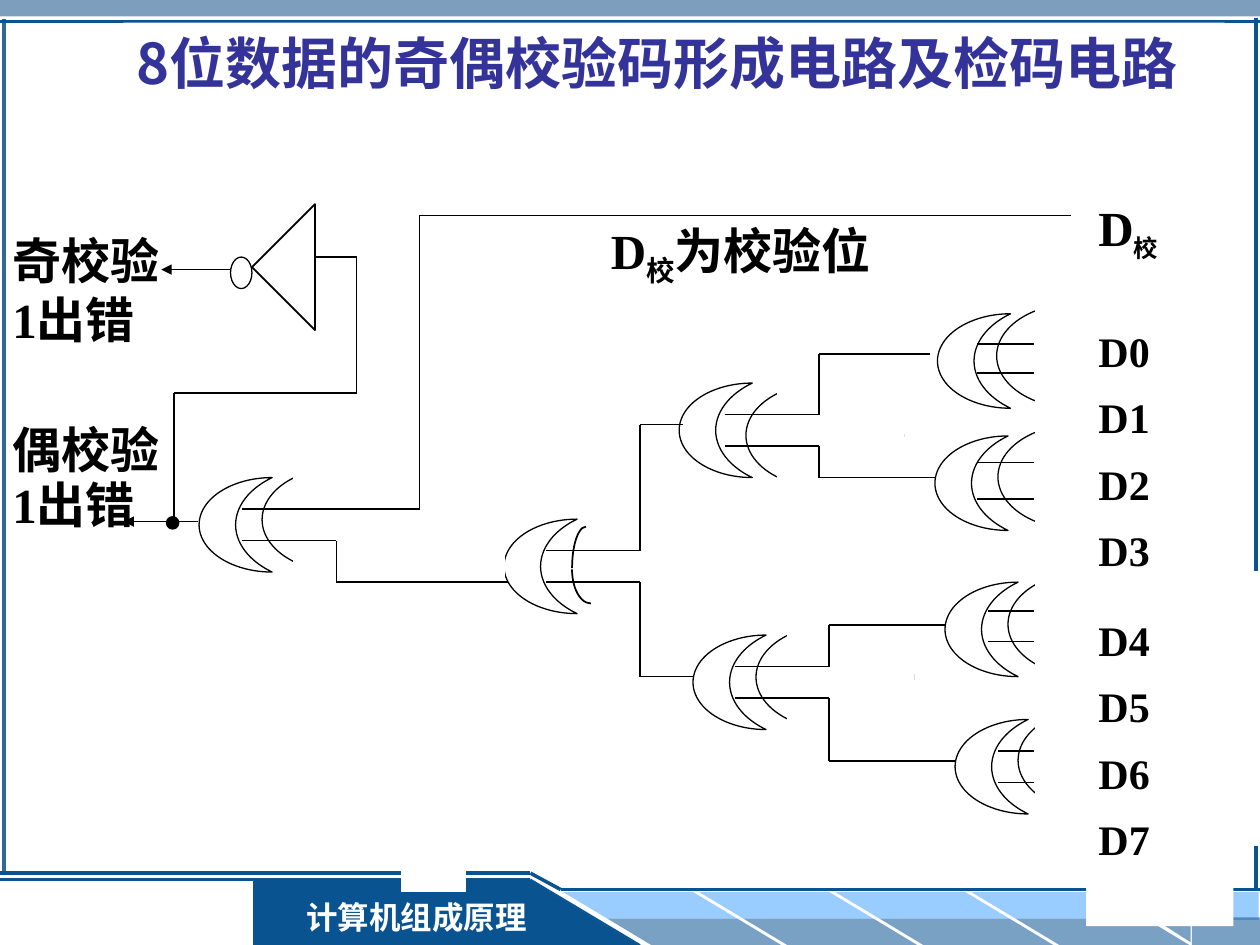
"""Build the slide on parity code forming and checking circuits for 8-bit data."""
from itertools import pairwise
from lxml import etree
from pptx import Presentation
from pptx.dml.color import RGBColor as RGB
from pptx.enum.shapes import MSO_CONNECTOR as LINK, MSO_SHAPE as KIND
from pptx.enum.text import MSO_ANCHOR as ANCHOR, MSO_AUTO_SIZE as FIT, PP_ALIGN as ALIGN
from pptx.oxml.ns import qn
from pptx.util import Cm, Pt

BLACK = RGB(0, 0, 0)
WHITE = RGB(255, 255, 255)
NAVY = RGB(0x09, 0x53, 0x91)
STEEL = RGB(0x33, 0x66, 0x99)
SKY = RGB(0x99, 0xCC, 0xFF)
INDIGO = RGB(0x33, 0x33, 0x99)
INCH = 2.54
SERIF = "Times New Roman"

deck = Presentation()
deck.slide_width, deck.slide_height = Cm(25.4), Cm(19.05)
page = deck.slides.add_slide(deck.slide_layouts[5])
shapes = page.shapes


def draw(kind, box, fill=None, line=None, width=0.75, alpha=None, flip=()):
    shape = shapes.add_shape(kind, *[Cm(INCH * v) for v in box])
    shape.shadow.inherit = False
    if fill is None:
        shape.fill.background()
    else:
        shape.fill.solid()
        shape.fill.fore_color.rgb = fill
    if line is None:
        shape.line.fill.background()
    else:
        shape.line.color.rgb = line
        shape.line.width = Pt(width)
    if alpha:
        tint = shape.element.spPr.find(qn("a:solidFill"))[0]
        etree.SubElement(tint, qn("a:alpha")).set("val", str(alpha * 1000))
    for side in flip:
        shape.element.spPr.xfrm.set("flip" + side, "1")
    return shape


def wire(spots, color=BLACK, width=0.75, arrow=False):
    for start, end in pairwise(spots):
        link = shapes.add_connector(LINK.STRAIGHT, *[Cm(INCH * v) for v in start + end])
        link.line.color.rgb = color
        link.line.width = Pt(width)
        if arrow:
            etree.SubElement(link.line._get_or_add_ln(), qn("a:tailEnd")).set("type", "triangle")
        etree.SubElement(link.element.spPr, qn("a:effectLst"))


# Frame and footer
draw(KIND.RECTANGLE, (0, 0, 10, 0.13), STEEL, alpha=63)
wire([(0.03, 0.15), (0.03, 6.93)], STEEL, 2)
draw(KIND.RECTANGLE, (2.01, 6.98, 2.2, 0.52), NAVY)
wire([(5.08, 7.5), (4.21, 6.98)], NAVY, 1)
wire([(4.21, 6.98), (0, 6.98)], NAVY, 1.5)
for step in range(4):
    left = 4.47 + 1.08 * step
    for shift, top, color, alpha in [(0, 7.08, SKY, None), (0.35, 7.29, NAVY, 54)]:
        tile = draw(KIND.PARALLELOGRAM, (left + shift, top, 1.38, 0.21), color, alpha=alpha, flip="H")
        tile.adjustments[0] = 1.66
draw(KIND.RECTANGLE, (9.13, 7.08, 0.86, 0.22), SKY)
draw(KIND.RECTANGLE, (9.46, 7.28, 0.54, 0.22), NAVY, alpha=54)
draw(KIND.RIGHT_TRIANGLE, (9.14, 7.28, 0.31, 0.2), NAVY, alpha=54, flip="HV")
draw(KIND.RIGHT_TRIANGLE, (4.2, 6.98, 0.87, 0.52), NAVY)
wire([(0, 6.93), (4.21, 6.93), (4.45, 7.06), (10, 7.06)], NAVY, 2)
wire([(0, 0.17), (10, 0.17)], NAVY, 2)
wire([(9.97, 0.14), (9.97, 7.07)], NAVY, 2)
draw(KIND.RECTANGLE, (8.33, 4.54, 1.67, 2.17), WHITE, WHITE)

# XOR gates: body corner, then corner of the oval behind it
gates = [
    ((7.5, 4.62), (8, 4.54)), ((7.58, 5.71), (8.08, 5.62)),
    ((7.42, 3.46), (7.92, 3.37)), ((7.44, 2.49), (7.91, 2.41)),
    ((5.5, 5.04), (6, 4.96)), ((5.39, 3.04), (5.92, 3.04)),
    ((1.58, 3.79), (2.08, 3.71)), ((4, 4.12), None),
]
for body, oval in gates:
    draw(KIND.MOON, (*body, 0.58, 0.75), WHITE, BLACK)
    if oval:
        draw(KIND.OVAL, (*oval, 1.25, 0.83), WHITE, BLACK)
for box in [(6.25, 4.46, 1, 2.17), (6.17, 2.54, 1, 2.17), (3.19, 5.48, 0.5, 1.67),
            (2.33, 3.21, 1.67, 2.17), (8.22, 2.25, 1, 4.58)]:
    draw(KIND.RECTANGLE, box, WHITE, WHITE)
for box, start, end in [((4.54, 4.18, 0.22, 0.66), 108, 162), ((4.54, 4.25, 0.3, 0.54), 54, 108)]:
    arc = draw(KIND.ARC, box, None, BLACK, 1)
    arc.adjustments[0], arc.adjustments[1] = start, end

# Wiring
for left, rows in [(7.75, (2.73, 2.96, 3.67, 3.96)), (7.84, (4.85, 5.09)), (7.92, (5.96, 6.21))]:
    for row in rows:
        wire([(left, row), (8.21, row)])
for spots in [
    [(7.38, 2.81), (6.5, 2.81), (6.5, 3.29), (5.75, 3.29)],
    [(7.42, 3.79), (6.5, 3.79), (6.5, 3.54), (5.75, 3.54)],
    [(7.5, 4.96), (6.58, 4.96), (6.58, 5.29), (5.83, 5.29)],
    [(7.58, 6.04), (6.58, 6.04), (6.58, 5.54), (5.83, 5.54)],
    [(5.42, 3.37), (5.08, 3.37), (5.08, 4.37), (4.33, 4.37)],
    [(5.5, 5.37), (5.08, 5.37), (5.08, 4.62), (4.33, 4.62)],
    [(4.03, 4.62), (2.67, 4.62), (2.67, 4.29), (1.92, 4.29)],
    [(3.33, 1.71), (3.33, 4.04), (1.92, 4.04)],
    [(1.38, 4.12), (1.38, 3.12), (2.83, 3.12), (2.83, 2.04), (2.5, 2.04)],
]:
    wire(spots)
wire([(3.33, 1.71), (8.5, 1.71)], width=1)
wire([(1.57, 4.14), (0.98, 4.14)], arrow=True)
wire([(1.86, 2.14), (1.28, 2.14)], arrow=True)
draw(KIND.OVAL, (1.83, 2.04, 0.17, 0.25), WHITE, BLACK)
draw(KIND.ISOSCELES_TRIANGLE, (1.75, 1.87, 1, 0.5), None, BLACK, 1).rotation = 270
draw(KIND.OVAL, (1.33, 4.11, 0.08, 0.08), BLACK, BLACK, 2)

# Text: box, fill, top inset, colour, font, alignment, paragraphs
# Each paragraph: space before, line spacing, runs of (text, size, subscript)
bits = [(44.5 if n == 0 else 28 if n == 4 else 15, 0.8, [(f"D{n}", 24, False)]) for n in range(8)]
texts = [
    ((2.28, 7.08, 2.05, 0.4), NAVY, 0.05, WHITE, SERIF, ALIGN.CENTER,
     [(0, 1, [("计算机组成原理", 18, False)])]),
    ((0, 1.78, 2.17, 1.04), None, 0.05, BLACK, SERIF, ALIGN.LEFT,
     [(0, 1, [("奇校验", 28, False)]), (0, 1, [("1出错", 28, False)])]),
    ((0, 3.28, 1.58, 0.95), None, 0.05, BLACK, SERIF, ALIGN.LEFT,
     [(0, 1, [("偶校验", 28, False)]), (17.5, 0.3, [("1出错", 28, False)])]),
    ((4.75, 1.7, 3.76, 0.63), None, 0.05, BLACK, SERIF, ALIGN.LEFT,
     [(0, 1, [("D", 28, False), ("校", 28, True), ("为校验位", 28, False)])]),
    ((8.62, 0.84, 1.17, 6.51), WHITE, 0.79, BLACK, SERIF, ALIGN.LEFT,
     [(0, 0.8, [("D", 28, False), ("校", 24, True)])] + bits),
    ((0.98, 0.18, 8.74, 0.64), WHITE, 0.05, INDIGO, "Noto Sans CJK SC", ALIGN.LEFT,
     [(0, 1, [("8位数据的奇偶校验码形成电路及检码电路", 32, False)])]),
]
for box, fill, inset, color, face, align, paras in texts:
    place = [Cm(INCH * v) for v in box]
    if color == INDIGO:
        shape = shapes.title
        shape.left, shape.top, shape.width, shape.height = place
        shapes.element.append(shape.element)
    else:
        shape = shapes.add_textbox(*place)
    if fill is not None:
        shape.fill.solid()
        shape.fill.fore_color.rgb = fill
    frame = shape.text_frame
    form = {"word_wrap": True, "auto_size": FIT.NONE, "vertical_anchor": ANCHOR.TOP,
            "margin_top": Cm(INCH * inset)}
    for key, value in form.items():
        setattr(frame, key, value)
    for rank, (before, space, runs) in enumerate(paras):
        para = frame.add_paragraph() if rank else frame.paragraphs[0]
        form = {"alignment": align, "space_before": Pt(before), "line_spacing": space}
        for key, value in form.items():
            setattr(para, key, value)
        for words, size, low in runs:
            run = para.add_run()
            run.text = words
            for key, value in {"name": face, "size": Pt(size), "bold": True}.items():
                setattr(run.font, key, value)
            run.font.color.rgb = color
            if low:
                run.font._element.set("baseline", "-25000")

deck.save("out.pptx")
